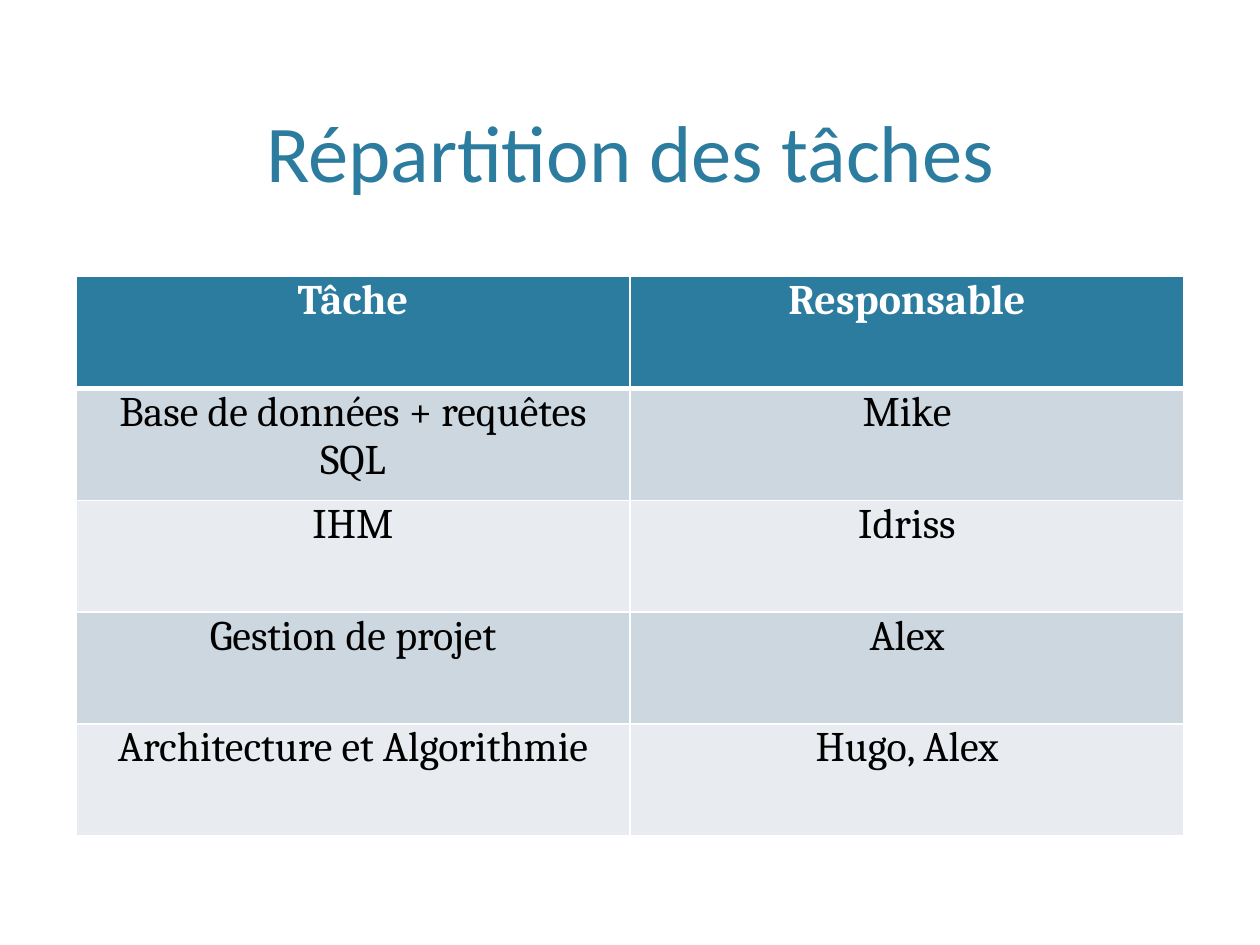
from lxml import etree
from pptx import Presentation
from pptx import util as u
from pptx.dml.color import RGBColor
from pptx.enum import text
from pptx.oxml import ns

TEAL = RGBColor(0x2C, 0x7C, 0x9F)
WHITE = RGBColor(0xFF, 0xFF, 0xFF)
BLACK = RGBColor(0, 0, 0)
BANDS = [RGBColor(0xE8, 0xEC, 0xF0), RGBColor(0xCD, 0xD7, 0xDF)]

TASKS = [
    ("Tâche", "Responsable"),
    ("Base de données + requêtes SQL", "Mike"),
    ("IHM", "Idriss"),
    ("Gestion de projet", "Alex"),
    ("Architecture et Algorithmie", "Hugo, Alex"),
]
LEFT, WIDTH, ROW_HEIGHT = 43.4, 633.2, 63.95


def write(frame, wording, color, **font):
    para = frame.paragraphs[0]
    para.alignment = text.PP_ALIGN.CENTER
    span = para.add_run()
    span.text = wording
    span.font.color.rgb = color
    for name, value in font.items():
        setattr(span.font, name, value)


def add_border(cell, side, points):
    """Draw a white line on one side (L, R, T or B); call before filling the cell."""
    line = etree.SubElement(cell._tc.get_or_add_tcPr(), ns.qn(f"a:ln{side}"), w=str(u.Pt(points)))
    fill = etree.SubElement(line, ns.qn("a:solidFill"))
    etree.SubElement(fill, ns.qn("a:srgbClr"), val=str(WHITE))


deck = Presentation()
deck.slide_width, deck.slide_height = u.Pt(720), u.Pt(540)
page = deck.slides.add_slide(deck.slide_layouts[6])

title = page.shapes.add_textbox(u.Pt(LEFT), u.Pt(8.6), u.Pt(WIDTH), u.Pt(105)).text_frame
title_format = {
    "word_wrap": True,
    "vertical_anchor": text.MSO_ANCHOR.BOTTOM,
    "margin_top": 0,
    "margin_bottom": 0,
}
for name, value in title_format.items():
    setattr(title, name, value)
write(title, "Répartition des tâches", TEAL, name="Calibri", size=u.Pt(46))

table = page.shapes.add_table(
    len(TASKS), 2, u.Pt(LEFT), u.Pt(158), u.Pt(WIDTH), u.Pt(ROW_HEIGHT * len(TASKS))
).table
cell_format = {
    "margin_left": u.Pt(5),
    "margin_right": u.Pt(5),
    "margin_top": 0,
    "margin_bottom": 0,
}
for row, entries in enumerate(TASKS):
    header = row == 0
    borders = {"L": 1, "R": 1, "T": 3 if row == 1 else 1, "B": 3 if header else 1}
    for column, entry in enumerate(entries):
        cell = table.cell(row, column)
        for name, value in cell_format.items():
            setattr(cell, name, value)
        for side, points in borders.items():
            add_border(cell, side, points)
        cell.fill.solid()
        cell.fill.fore_color.rgb = TEAL if header else BANDS[row % 2]
        write(cell.text_frame, entry, WHITE if header else BLACK,
              name="Cambria", size=u.Pt(24), bold=header)

deck.save("out.pptx")
